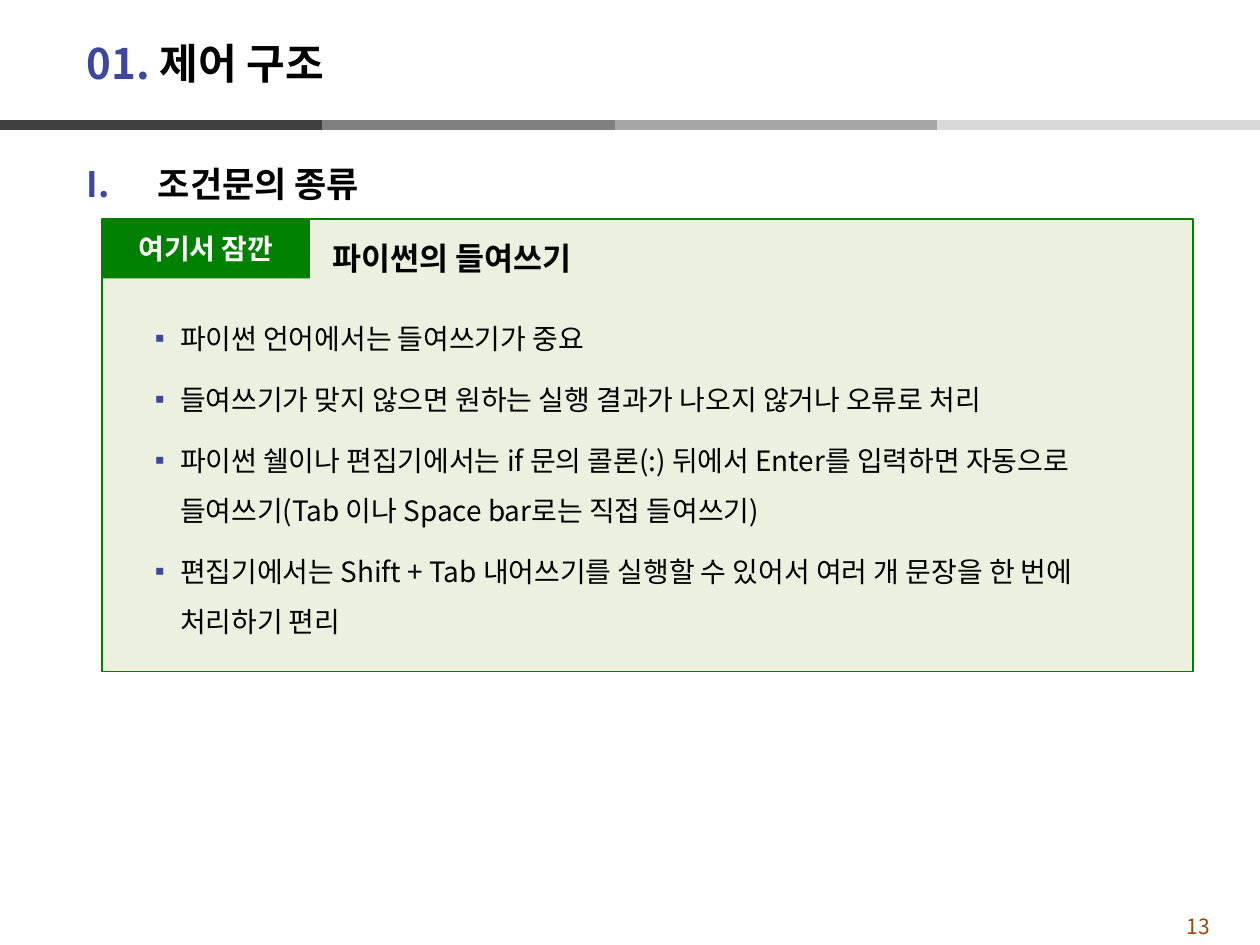
from lxml import etree
from pptx import Presentation
from pptx.dml.color import RGBColor
from pptx.enum import shapes, text
from pptx.oxml import ns
from pptx.util import Pt

COLORS = {"indigo": "3C479D", "black": "000000", "white": "FFFFFF", "green": "008000",
          "pale": "EBF1DE", "brown": "984807"}
SANS = "Noto Sans CJK KR"


def style(para, size, color, bold=False, font=SANS):
    """Format every run of a paragraph, Korean glyphs included."""
    for span in para.runs:
        span.font.size = Pt(size)
        span.font.bold = bold
        span.font.name = font
        span.font.color.rgb = RGBColor.from_string(COLORS[color])
        etree.SubElement(span.font._element, ns.qn("a:ea"), typeface=SANS)


def add_bullet(para, left, hanging, tag, **attributes):
    """Give a paragraph a hanging indigo bullet."""
    props = para._p.get_or_add_pPr()
    props.set("marL", str(Pt(left)))
    props.set("indent", str(-Pt(hanging)))
    color = etree.SubElement(props, ns.qn("a:buClr"))
    etree.SubElement(color, ns.qn("a:srgbClr"), val=COLORS["indigo"])
    etree.SubElement(props, ns.qn("a:buFont"), typeface="Arial")
    etree.SubElement(props, ns.qn(tag), **attributes)


deck = Presentation()
deck.slide_width, deck.slide_height = Pt(720), Pt(540)
page = deck.slides.add_slide(deck.slide_layouts[1])

# Divider band in four greys
for start, grey in [(167, "808080"), (351.5, "A6A6A6"), (535.7, "D9D9D9"), (0, "404040")]:
    band = page.shapes.add_connector(shapes.MSO_CONNECTOR.STRAIGHT,
                                     Pt(start), Pt(71.5), Pt(start + 184.3), Pt(71.5))
    band.line.color.rgb = RGBColor.from_string(grey)
    band.line.width = Pt(6)
    etree.SubElement(band._element.spPr, ns.qn("a:effectLst"))

# Title
title = page.shapes.title
title.left, title.top, title.width, title.height = Pt(42.5), Pt(14.4), Pt(629.3), Pt(43.2)
title.text_frame.auto_size = text.MSO_AUTO_SIZE.NONE
title.text_frame.vertical_anchor = text.MSO_ANCHOR.MIDDLE
para = title.text_frame.paragraphs[0]
para.alignment = text.PP_ALIGN.LEFT
for words in ("01. ", "제어 구조"):
    para.add_run().text = words
style(para, 24, "black", bold=True)
para.runs[0].font.color.rgb = RGBColor.from_string(COLORS["indigo"])

# Section heading
body = page.placeholders[1]
body.left, body.top, body.width, body.height = Pt(42.5), Pt(77), Pt(635), Pt(431.3)
body.text_frame.auto_size = text.MSO_AUTO_SIZE.NONE
body.text_frame.text = "조건문의 종류"
para = body.text_frame.paragraphs[0]
para.line_spacing = 1.5
para.space_before = Pt(0)
add_bullet(para, 40.5, 40.5, "a:buAutoNum", type="romanUcPeriod")
style(para, 20, "black", bold=True, font="Arial")

# Callout panel
panel = page.shapes.add_shape(shapes.MSO_SHAPE.RECTANGLE, Pt(58.3), Pt(125.3), Pt(623.5), Pt(258.5))
panel.shadow.inherit = False
panel.fill.solid()
panel.fill.fore_color.rgb = RGBColor.from_string(COLORS["pale"])
panel.line.color.rgb = RGBColor.from_string(COLORS["green"])
panel.line.width = Pt(1)

# Bulleted notes
notes = page.shapes.add_textbox(Pt(60.5), Pt(170.6), Pt(611.3), Pt(337.7))
notes.text_frame.word_wrap = True
notes.text_frame.text = "\n".join([
    "파이썬 언어에서는 들여쓰기가 중요",
    "들여쓰기가 맞지 않으면 원하는 실행 결과가 나오지 않거나 오류로 처리",
    "파이썬 쉘이나 편집기에서는 if 문의 콜론(:) 뒤에서 Enter를 입력하면 자동으로 "
    "들여쓰기(Tab 이나 Space bar로는 직접 들여쓰기)",
    "편집기에서는 Shift + Tab 내어쓰기를 실행할 수 있어서 여러 개 문장을 한 번에 처리하기 편리",
])
for para in notes.text_frame.paragraphs:
    para.level = 1
    para.line_spacing = 1.5
    para.space_before = para.space_after = Pt(3)
    add_bullet(para, 35.3, 14.4, "a:buChar", char="▪")
    style(para, 16, "black")

# Callout tag
tag = page.shapes.add_shape(shapes.MSO_SHAPE.RECTANGLE, Pt(58.3), Pt(125.3), Pt(118.8), Pt(33.8))
tag.shadow.inherit = False
tag.fill.solid()
tag.fill.fore_color.rgb = RGBColor.from_string(COLORS["green"])
tag.line.fill.background()
tag.text_frame.text = "여기서 잠깐"
tag.text_frame.vertical_anchor = text.MSO_ANCHOR.MIDDLE
para = tag.text_frame.paragraphs[0]
para.alignment = text.PP_ALIGN.CENTER
style(para, 16, "white", bold=True)

# Callout heading
heading = page.shapes.add_textbox(Pt(182.9), Pt(125.3), Pt(277.9), Pt(33.8))
heading.text_frame.word_wrap = True
heading.text_frame.text = "파이썬의 들여쓰기"
heading.text_frame.vertical_anchor = text.MSO_ANCHOR.MIDDLE
para = heading.text_frame.paragraphs[0]
para.line_spacing = 1.5
para.space_before = para.space_after = Pt(3)
style(para, 18, "black", bold=True, font="Arial")

# Page number
number = page.shapes.add_textbox(Pt(651.6), Pt(519.8), Pt(66.2), Pt(16.6))
number.text_frame.word_wrap = True
number.text_frame.margin_top = Pt(2)
number.text_frame.margin_bottom = Pt(0)
number.text_frame.text = "13"
para = number.text_frame.paragraphs[0]
para.alignment = text.PP_ALIGN.CENTER
style(para, 12, "brown")

deck.save("out.pptx")
